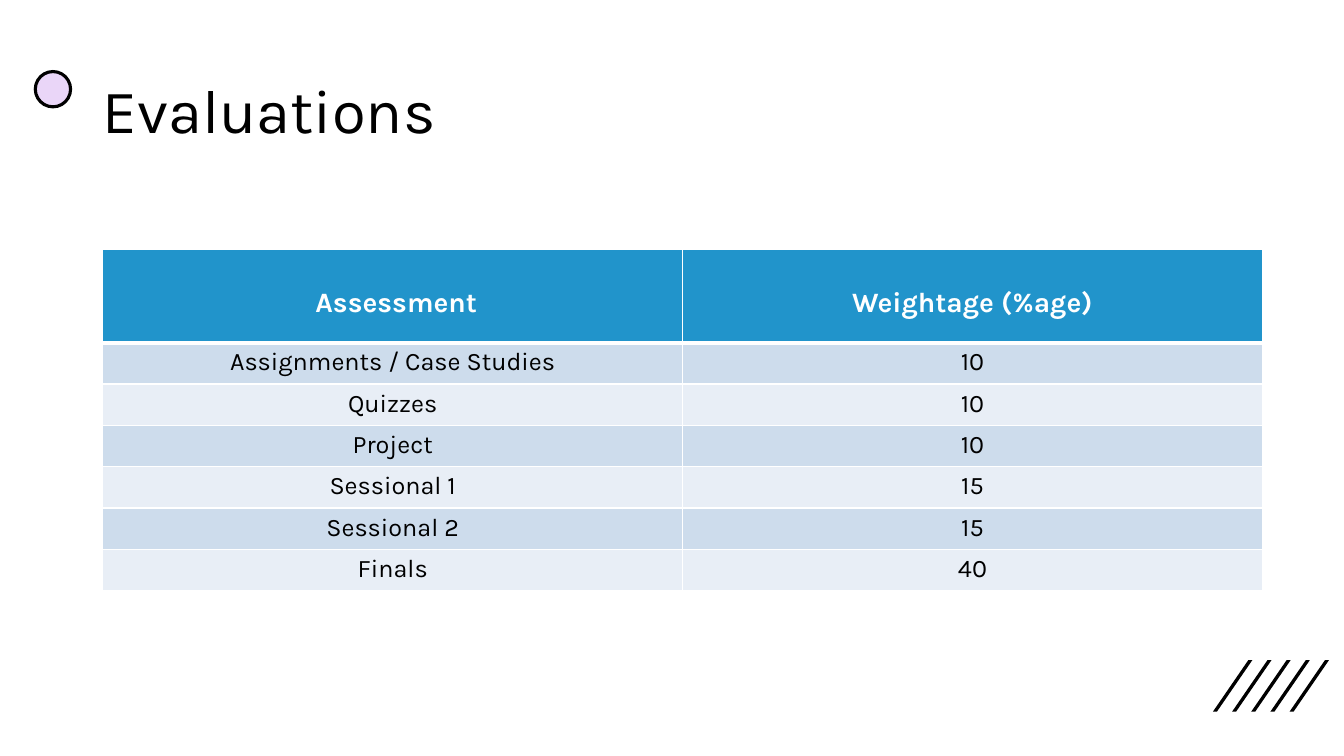
from lxml.etree import SubElement
from pptx import Presentation
from pptx.dml.color import RGBColor
from pptx.enum.shapes import MSO_SHAPE
from pptx.enum.text import MSO_ANCHOR, PP_ALIGN
from pptx.oxml.ns import qn
from pptx.util import Emu, Pt

SCALE = 9144  # EMU per px, 100 px to the inch
FONT = "Karla"
BLACK, WHITE, LILAC = "000000", "FFFFFF", "EAD6F8"
HEAD, BANDS = "2194CB", ("CDDCEC", "E8EEF6")
ROWS = [
    (" Assessment", "Weightage (%age)"),
    ("Assignments / Case Studies", "10"),
    ("Quizzes", "10"),
    ("Project", "10"),
    ("Sessional 1", "15"),
    ("Sessional 2", "15"),
    ("Finals", "40"),
]


def px(n):
    return Emu(n * SCALE)


def paint(fill, color):
    fill.solid()
    fill.fore_color.rgb = RGBColor.from_string(color)


def write(frame, text, size, color, align, spacing=1.0, bold=False):
    para = frame.paragraphs[0]
    para.alignment = align
    para.line_spacing = spacing
    run = para.add_run()
    run.text = text
    font = run.font
    font.name, font.size, font.bold = FONT, Pt(size), bold
    paint(font.fill, color)


def add_title(slide, x, y, w, h):
    title = slide.shapes.title
    title.left, title.top, title.width, title.height = map(px, (x, y, w, h))
    frame = title.text_frame
    frame.word_wrap = True
    frame.vertical_anchor = MSO_ANCHOR.MIDDLE
    write(frame, "Evaluations", 44, BLACK, PP_ALIGN.LEFT, 0.9)


def add_dot(slide, x, y, size):
    dot = slide.shapes.add_shape(MSO_SHAPE.OVAL, px(x), px(y), px(size), px(size))
    dot.shadow.inherit = False
    paint(dot.fill, LILAC)
    paint(dot.line.fill, BLACK)
    dot.line.width = Pt(2.25)


def add_stripes(slide, x, y, w, h, count=5, thick=4, step=19):
    """Draw slanted bars side by side, filling the box."""
    lean = w - step * (count - 1) - thick
    for left in range(x, x + step * count, step):
        pen = slide.shapes.build_freeform(left, y + h, scale=SCALE)
        pen.add_line_segments([
            (left + lean, y), (left + lean + thick, y), (left + thick, y + h)])
        bar = pen.convert_to_shape()
        bar.shadow.inherit = False
        paint(bar.fill, BLACK)
        bar.line.fill.background()


def set_edges(cell, **widths):
    """Give the cell white borders; widths are in points by side."""
    props = cell._tc.get_or_add_tcPr()
    for i, (side, width) in enumerate(widths.items()):
        edge = props.makeelement(qn("a:ln" + side), {"w": str(Pt(width))})
        fill = SubElement(edge, qn("a:solidFill"))
        SubElement(fill, qn("a:srgbClr"), val=WHITE)
        props.insert(i, edge)


def add_grid(slide, x, y, w, top, row):
    """Place the table: a header of height top, then rows of height row."""
    cols = len(ROWS[0])
    height = top + row * (len(ROWS) - 1)
    table = slide.shapes.add_table(
        len(ROWS), cols, px(x), px(y), px(w), px(height)).table
    for col in table.columns:
        col.width = px(w // cols)
    for r, texts in enumerate(ROWS):
        first = r == 0
        table.rows[r].height = px(top if first else row)
        for c, text in enumerate(texts):
            cell = table.cell(r, c)
            paint(cell.fill, HEAD if first else BANDS[(r - 1) % 2])
            set_edges(cell, L=1, R=1, T=3 if r == 1 else 1, B=3 if first else 1)
            if first:
                write(cell.text_frame, text, 20, WHITE, PP_ALIGN.CENTER, 2.0, True)
            else:
                write(cell.text_frame, text, 18, BLACK, PP_ALIGN.CENTER)


def main():
    deck = Presentation()
    deck.slide_width, deck.slide_height = px(1333), px(750)
    slide = deck.slides.add_slide(deck.slide_layouts[5])
    paint(slide.background.fill, WHITE)
    add_stripes(slide, 1203, 655, 115, 51)
    add_dot(slide, 35, 71, 35)
    add_title(slide, 92, 40, 1150, 145)
    add_grid(slide, 102, 247, 1150, 93, 41)
    deck.save("out.pptx")


if __name__ == "__main__":
    main()
